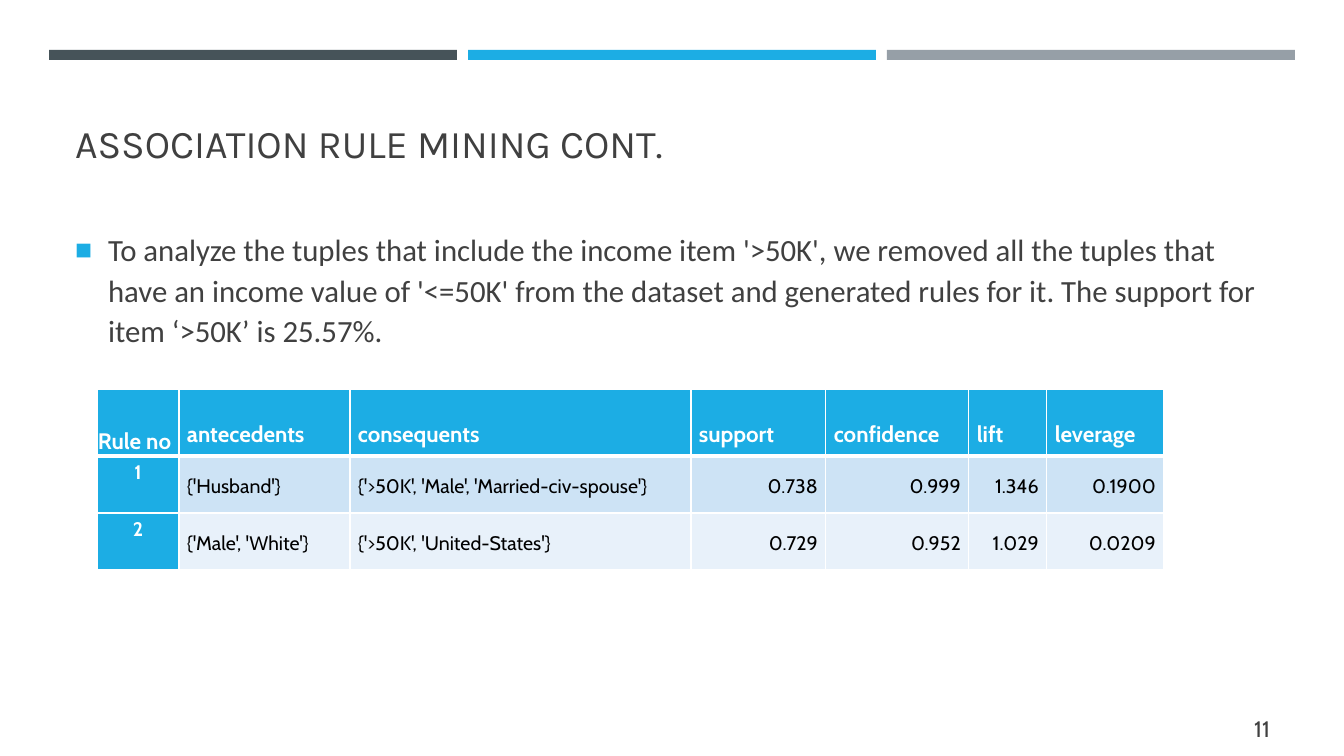
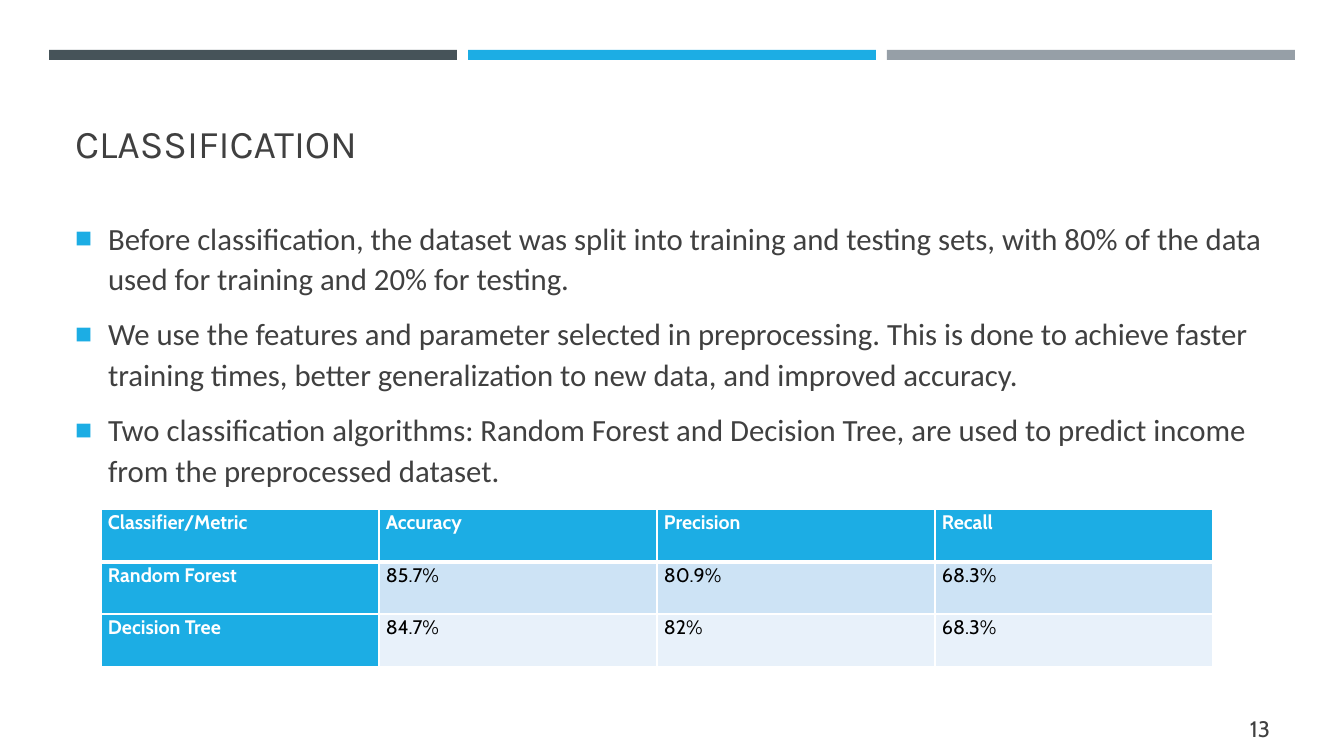
from dataclasses import dataclass

from lxml import etree
from pptx import Presentation
from pptx.dml.color import RGBColor
from pptx.enum.shapes import MSO_SHAPE
from pptx.enum.text import MSO_ANCHOR, MSO_AUTO_SIZE, PP_ALIGN
from pptx.oxml.ns import qn
from pptx.util import Emu, Pt

RECTANGLE = MSO_SHAPE.RECTANGLE
TOP, MIDDLE, BOTTOM = MSO_ANCHOR.TOP, MSO_ANCHOR.MIDDLE, MSO_ANCHOR.BOTTOM
LEFT, CENTER, RIGHT = PP_ALIGN.LEFT, PP_ALIGN.CENTER, PP_ALIGN.RIGHT
NO_AUTOFIT = MSO_AUTO_SIZE.NONE

PIXELS_PER_INCH = 100.8
EMU_PER_PIXEL = 914400 / PIXELS_PER_INCH

SLATE = RGBColor(0x46, 0x53, 0x59)
BLUE = RGBColor(0x1C, 0xAD, 0xE4)
GRAY = RGBColor(0x96, 0x9F, 0xA7)
TEXT_GRAY = RGBColor(0x40, 0x40, 0x40)
BLACK = RGBColor(0x00, 0x00, 0x00)
WHITE = RGBColor(0xFF, 0xFF, 0xFF)
ROW_TINTS = (RGBColor(0xCD, 0xE3, 0xF5), RGBColor(0xE8, 0xF1, 0xFA))

TITLE_FONT, BODY_FONT, TABLE_FONT = "Karla", "Calibri", "Cabin"

TITLE_BOX = (65, 96, 1216, 75)
NUMBER_BOX = (1164, 709, 116, 40)
BAND_BOX = (49, 50, 408, 10)
BAND_STEP = 419
BULLET_INDENT = 33


@dataclass
class CellStyle:
    size: int = 14
    anchor: MSO_ANCHOR = TOP
    alignment: PP_ALIGN = LEFT
    margin_x: int = 7
    margin_y: int = 0
    line_spacing: float = 1.07


def px(length):
    return Emu(round(length * EMU_PER_PIXEL))


def scale(box):
    return [px(length) for length in box]


def place(shape, box):
    shape.left, shape.top, shape.width, shape.height = scale(box)


def set_font(paragraph, name, size, color, bold=False):
    font = paragraph.font
    font.name = name
    font.size = Pt(size)
    font.bold = bold
    font.color.rgb = color


def add_bands(slide, box):
    left, top, width, height = box
    for index, color in enumerate((SLATE, BLUE, GRAY)):
        band = slide.shapes.add_shape(
            RECTANGLE, *scale((left + index * BAND_STEP, top, width, height))
        )
        band.shadow.inherit = False
        band.fill.solid()
        band.fill.fore_color.rgb = color
        band.line.fill.background()


def add_title(slide, box, text):
    title = slide.shapes.title
    place(title, box)
    frame = title.text_frame
    frame.text = text
    frame.auto_size = NO_AUTOFIT
    frame.vertical_anchor = BOTTOM
    paragraph = frame.paragraphs[0]
    paragraph.alignment = LEFT
    set_font(paragraph, TITLE_FONT, 28, TEXT_GRAY)


def add_square_bullet(paragraph):
    properties = paragraph._p.get_or_add_pPr()
    properties.set("marL", str(px(BULLET_INDENT)))
    properties.set("indent", str(-px(BULLET_INDENT)))
    bullet_color = etree.SubElement(properties, qn("a:buClr"))
    etree.SubElement(bullet_color, qn("a:srgbClr"), val=str(BLUE))
    etree.SubElement(properties, qn("a:buSzPct"), val="92000")
    etree.SubElement(properties, qn("a:buChar"), char="■")


def add_bullets(slide, box, texts):
    body = slide.placeholders[1]
    place(body, box)
    frame = body.text_frame
    frame.text = "\n".join(texts)
    frame.auto_size = NO_AUTOFIT
    frame.vertical_anchor = MIDDLE
    for paragraph in frame.paragraphs:
        add_square_bullet(paragraph)
        paragraph.line_spacing = 1.1
        paragraph.space_before = Pt(4.4)
        paragraph.space_after = Pt(6)
        set_font(paragraph, BODY_FONT, 22, TEXT_GRAY)


def add_slide_number(slide, box, number):
    frame = slide.shapes.add_textbox(*scale(box)).text_frame
    frame.word_wrap = True
    frame.vertical_anchor = MIDDLE
    frame.text = str(number)
    paragraph = frame.paragraphs[0]
    paragraph.alignment = RIGHT
    set_font(paragraph, TABLE_FONT, 16, TEXT_GRAY)


def set_borders(cell, widths):
    properties = cell._tc.get_or_add_tcPr()
    for side, width in widths.items():
        line = etree.SubElement(properties, qn(f"a:ln{side}"), w=str(Pt(width)))
        fill = etree.SubElement(line, qn("a:solidFill"))
        etree.SubElement(fill, qn("a:srgbClr"), val=str(WHITE))


def fill_cell(cell, text, row, column, style):
    is_heading = row == 0 or column == 0
    set_borders(
        cell,
        {"L": 1, "R": 1, "T": 3 if row == 1 else 1, "B": 3 if row == 0 else 1},
    )
    cell.fill.solid()
    cell.fill.fore_color.rgb = BLUE if is_heading else ROW_TINTS[(row - 1) % 2]
    cell.margin_left = cell.margin_right = px(style.margin_x)
    cell.margin_top = cell.margin_bottom = px(style.margin_y)
    cell.vertical_anchor = style.anchor
    cell.text = text
    paragraph = cell.text_frame.paragraphs[0]
    paragraph.alignment = style.alignment
    paragraph.line_spacing = style.line_spacing
    color = WHITE if is_heading else BLACK
    set_font(paragraph, TABLE_FONT, style.size, color, is_heading)


def add_table(slide, origin, widths, heights, rows, style_for):
    box = (*origin, sum(widths), sum(heights))
    table = slide.shapes.add_table(len(rows), len(widths), *scale(box)).table
    for column, width in zip(table.columns, widths):
        column.width = px(width)
    for table_row, height in zip(table.rows, heights):
        table_row.height = px(height)
    for row, texts in enumerate(rows):
        for column, text in enumerate(texts):
            style = style_for(row, column)
            fill_cell(table.cell(row, column), text, row, column, style)


def rule_style(row, column):
    margin = 1 if column == 0 else 8
    if row == 0:
        return CellStyle(16, BOTTOM, LEFT, margin, margin, 1.15)
    if column == 0:
        return CellStyle(14, TOP, CENTER, margin, margin, 1.15)
    alignment = RIGHT if column > 2 else LEFT
    return CellStyle(14, MIDDLE, alignment, margin, margin, 1.15)


def metric_style(row, column):
    return CellStyle()


def add_content_slide(presentation, title, number, body_box, bullets):
    slide = presentation.slides.add_slide(presentation.slide_layouts[1])
    add_bands(slide, BAND_BOX)
    add_title(slide, TITLE_BOX, title)
    add_bullets(slide, body_box, bullets)
    add_slide_number(slide, NUMBER_BOX, number)
    return slide


def add_rules_slide(presentation):
    slide = add_content_slide(
        presentation,
        "ASSOCIATION RULE MINING CONT.",
        11,
        (65, 228, 1216, 120),
        [
            "To analyze the tuples that include the income item '>50K', we removed "
            "all the tuples that have an income value of '<=50K' from the dataset "
            "and generated rules for it. The support for item ‘>50K’ is 25.57%."
        ],
    )
    rows = [
        ["Rule no", "antecedents", "consequents", "support", "confidence",
         "lift", "leverage"],
        ["1", "{'Husband'}", "{'>50K', 'Male', 'Married-civ-spouse'}", "0.738",
         "0.999", "1.346", "0.1900"],
        ["2", "{'Male', 'White'}", "{'>50K', 'United-States'}", "0.729",
         "0.952", "1.029", "0.0209"],
    ]
    widths = (82, 171, 341, 135, 143, 78, 117)
    add_table(slide, (97, 389), widths, (67, 57, 57), rows, rule_style)


def add_classification_slide(presentation):
    slide = add_content_slide(
        presentation,
        "CLASSIFICATION",
        13,
        (65, 292, 1216, 120),
        [
            "Before classification, the dataset was split into training and testing "
            "sets, with 80% of the data used for training and 20% for testing.",
            "We use the features and parameter selected in preprocessing. This is "
            "done to achieve faster training times, better generalization to new "
            "data, and improved accuracy.",
            "Two classification algorithms: Random Forest and Decision Tree, are "
            "used to predict income from the preprocessed dataset.",
        ],
    )
    rows = [
        ["Classifier/Metric", "Accuracy", "Precision", "Recall"],
        ["Random Forest", "85.7%", "80.9%", "68.3%"],
        ["Decision Tree", "84.7%", "82%", "68.3%"],
    ]
    add_table(slide, (101, 509), (278,) * 4, (53, 52, 53), rows, metric_style)


def main():
    presentation = Presentation()
    presentation.slide_width, presentation.slide_height = px(1344), px(756)
    add_rules_slide(presentation)
    add_classification_slide(presentation)
    presentation.save("out.pptx")


if __name__ == "__main__":
    main()
